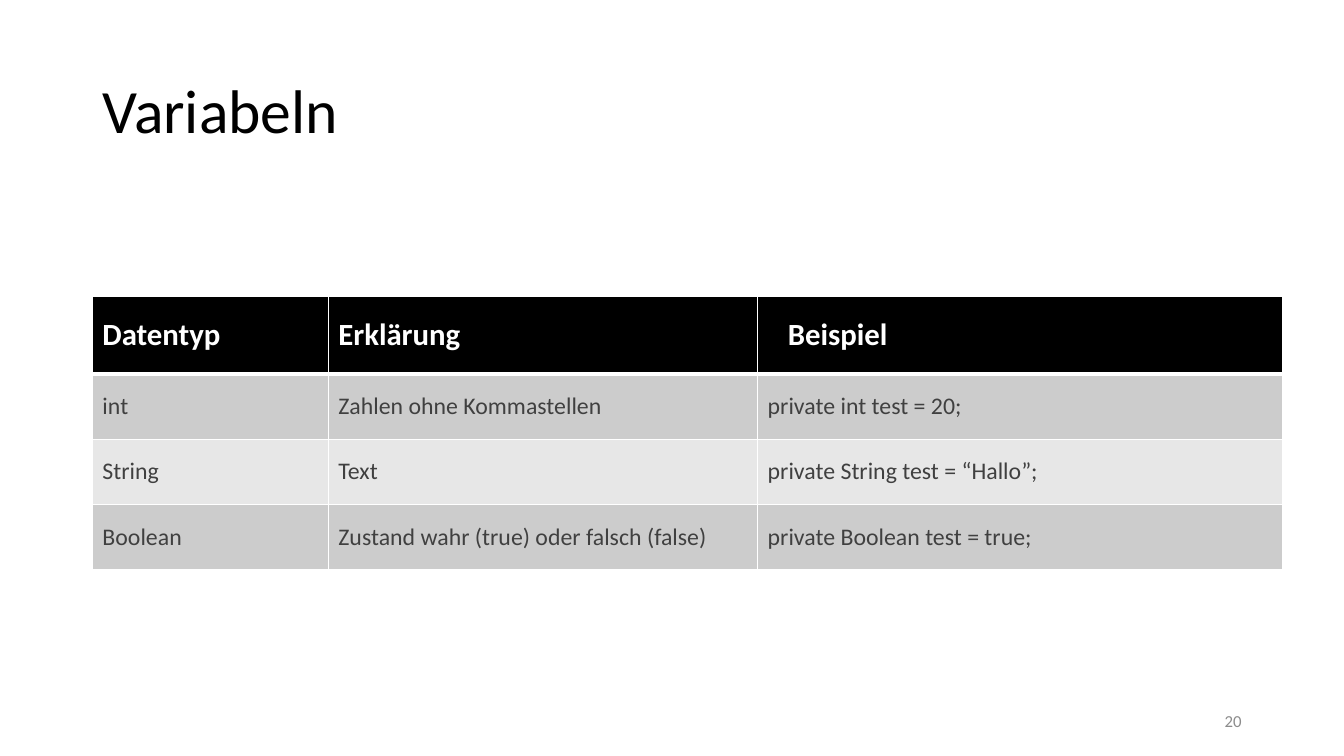
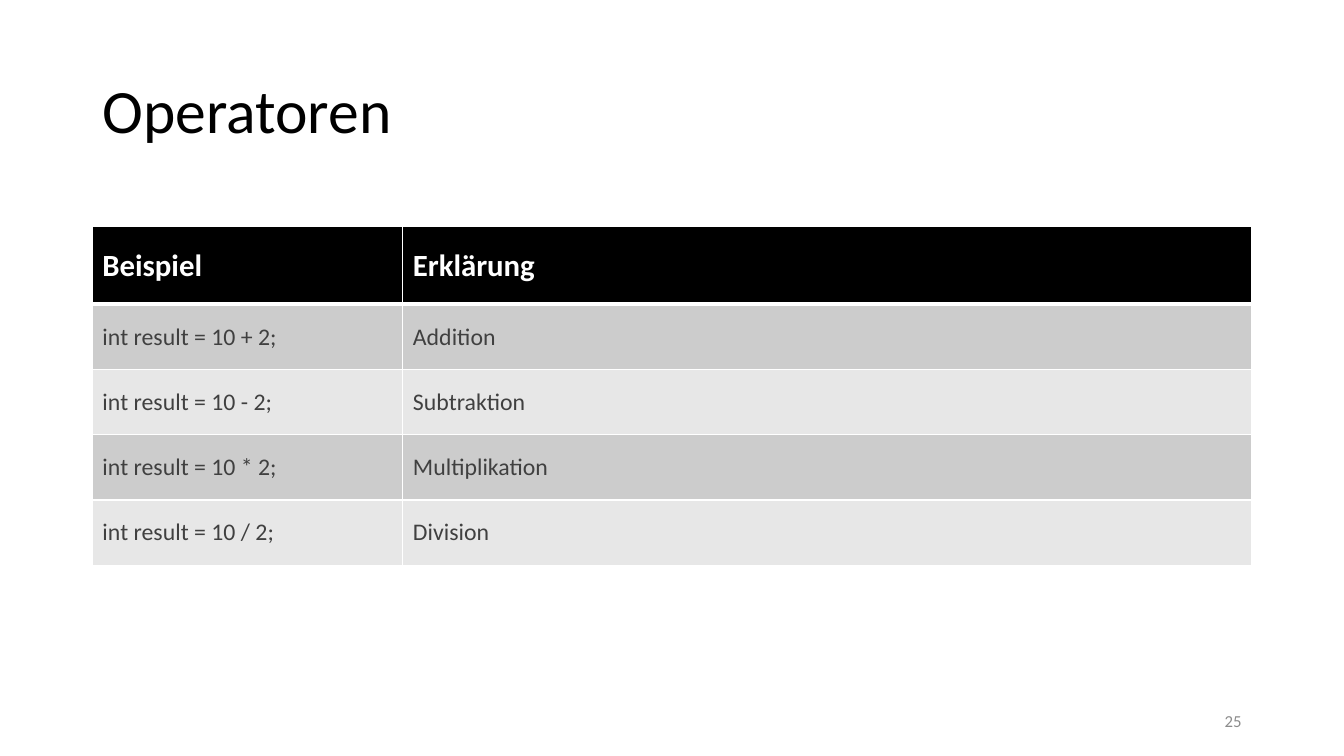
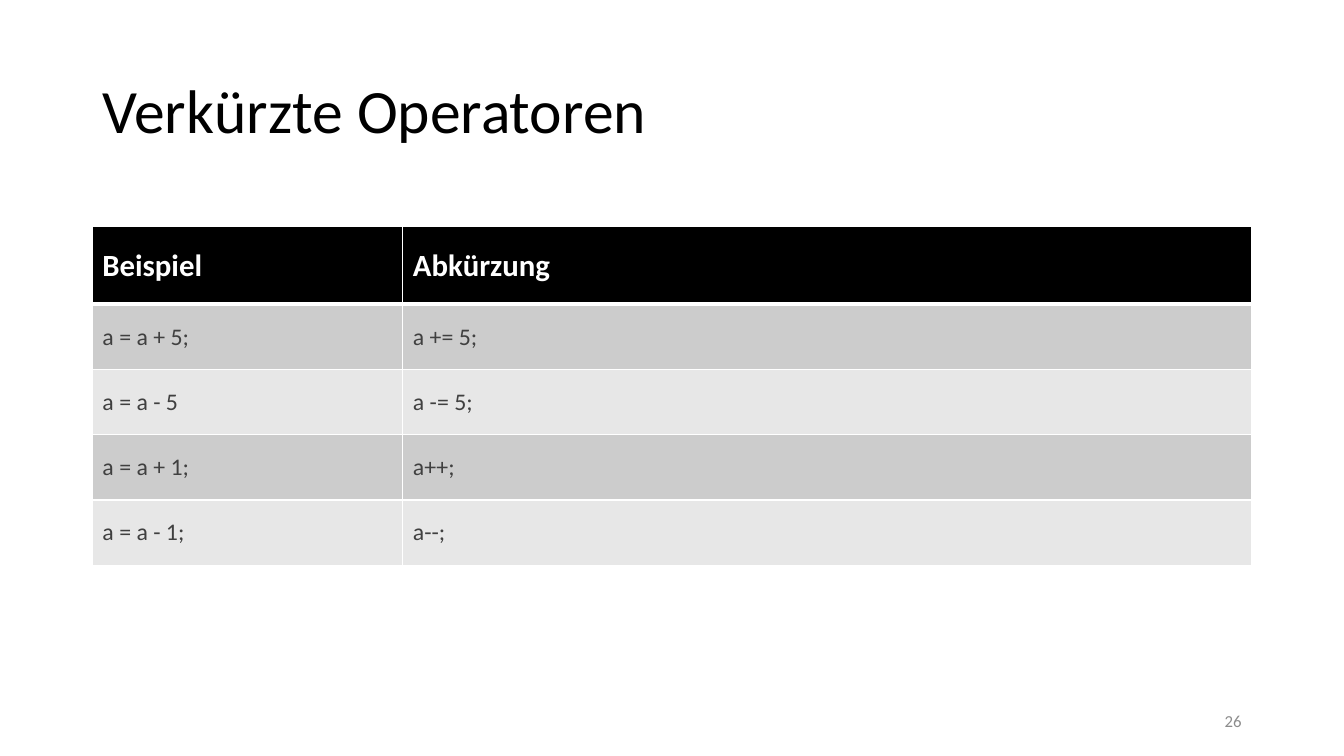
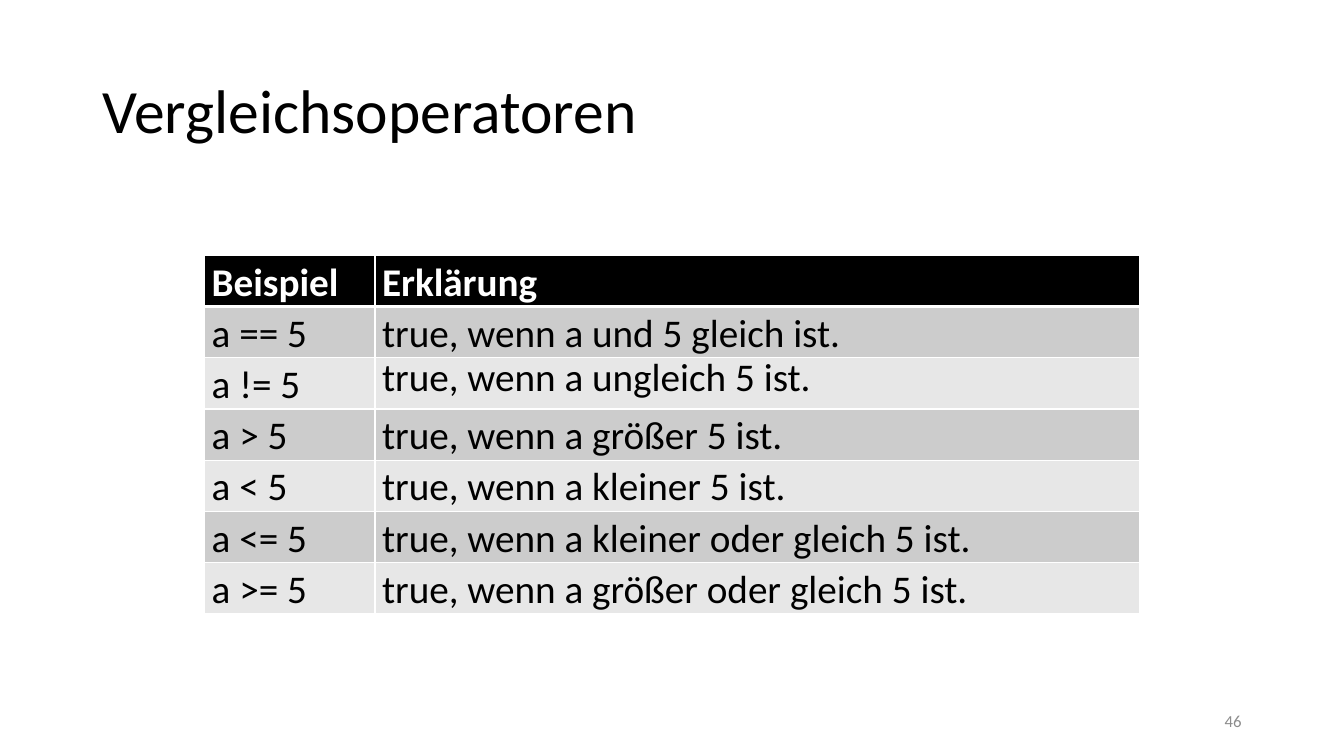
"""Build four slides of tables on data types and operators."""
import pptx
import pptx.dml.color
import pptx.enum.text
import pptx.oxml
import pptx.oxml.ns
import pptx.util

Pt = pptx.util.Pt
ANCHOR = pptx.enum.text.MSO_ANCHOR
ALIGN = pptx.enum.text.PP_ALIGN
FONT = "Calibri"
COLORS = {
    "black": "000000",
    "white": "FFFFFF",
    "dark": "404040",
    "gray": "8C8C8C",
    "odd": "CCCCCC",
    "even": "E7E7E7",
}
TITLE = (66, 28.8, 828, 104.4)
NUMBER = (678, 500.4, 216, 28.8)
ROOMY = {"head": 22, "body": 17, "ink": "dark", "inset": (7.2, 3.6), "line": 1.0}
TIGHT = {"head": 28, "body": 28, "ink": "black", "inset": (5, 0), "line": 1.07}


def rgb(name):
    return pptx.dml.color.RGBColor.from_string(COLORS[name])


def style(par, size, color, bold=False):
    for run in par.runs:
        run.font.name = FONT
        run.font.size = Pt(size)
        run.font.bold = bold
        run.font.color.rgb = rgb(color)


def place(shape, box):
    shape.left, shape.top, shape.width, shape.height = map(Pt, box)


def add_title(slide, text):
    shape = slide.shapes.title
    place(shape, TITLE)
    frame = shape.text_frame
    frame.text = text
    frame.vertical_anchor = ANCHOR.MIDDLE
    par = frame.paragraphs[0]
    par.alignment = ALIGN.LEFT
    par.line_spacing = 0.9
    style(par, 44, "black")


def add_number(slide, number):
    frame = slide.shapes.add_textbox(*map(Pt, NUMBER)).text_frame
    frame.word_wrap = True
    frame.vertical_anchor = ANCHOR.MIDDLE
    frame.text = str(number)
    par = frame.paragraphs[0]
    par.alignment = ALIGN.RIGHT
    style(par, 12, "gray")


def add_border(cell, row):
    widths = {"L": 1, "R": 1, "T": 3 if row == 1 else 1, "B": 3 if row == 0 else 1}
    props = cell._tc.get_or_add_tcPr()
    for side, width in widths.items():
        props.append(pptx.oxml.parse_xml(
            f'<a:ln{side} {pptx.oxml.ns.nsdecls("a")} w="{Pt(width)}">'
            f'<a:solidFill><a:srgbClr val="{COLORS["white"]}"/></a:solidFill>'
            f'</a:ln{side}>'))


def fill_cell(cell, row, text, look):
    head = row == 0
    add_border(cell, row)
    cell.fill.solid()
    cell.fill.fore_color.rgb = rgb("black" if head else "odd" if row % 2 else "even")
    cell.vertical_anchor = ANCHOR.MIDDLE
    side, edge = map(Pt, look["inset"])
    cell.margin_left = cell.margin_right = side
    cell.margin_top = cell.margin_bottom = edge
    cell.text_frame.text = text
    par = cell.text_frame.paragraphs[0]
    par.line_spacing = look["line"]
    style(par, look["head" if head else "body"], "white" if head else look["ink"], head)


def add_table(slide, spot, widths, heights, rows, look):
    left, top = spot
    box = (left, top, sum(widths), sum(heights))
    table = slide.shapes.add_table(len(rows), len(widths), *map(Pt, box)).table
    for column, width in zip(table.columns, widths):
        column.width = Pt(width)
    for line, height in zip(table.rows, heights):
        line.height = Pt(height)
    for row, texts in enumerate(rows):
        for col, text in enumerate(texts):
            fill_cell(table.cell(row, col), row, text, look)
    return table


def add_slide(deck, title, number):
    slide = deck.slides.add_slide(deck.slide_layouts[5])
    add_title(slide, title)
    add_number(slide, number)
    return slide


def add_types(deck):
    slide = add_slide(deck, "Variabeln", 20)
    rows = [
        ("Datentyp", "Erklärung", "Beispiel"),
        ("int", "Zahlen ohne Kommastellen", "private int test = 20;"),
        ("String", "Text", "private String test = “Hallo”;"),
        ("Boolean", "Zustand wahr (true) oder falsch (false)",
         "private Boolean test = true;"),
    ]
    table = add_table(slide, (66, 211.7), (168.5, 306.7, 375.1),
                      [55.4] + [46.6] * 3, rows, ROOMY)
    table.cell(0, 2).margin_left = Pt(21.6)


def add_pairs(deck, title, number, rows):
    slide = add_slide(deck, title, number)
    add_table(slide, (66, 162), (221.8, 606.2), [55.4] + [46.6] * 4, rows, ROOMY)


def add_tests(deck):
    slide = add_slide(deck, "Vergleichsoperatoren", 46)
    rows = [
        ("Beispiel", "Erklärung"),
        ("a == 5", "true, wenn a und 5 gleich ist."),
        ("a != 5", "true, wenn a ungleich 5 ist."),
        ("a > 5", "true, wenn a größer 5 ist."),
        ("a < 5", "true, wenn a kleiner 5 ist."),
        ("a <= 5", "true, wenn a kleiner oder gleich 5 ist."),
        ("a >= 5", "true, wenn a größer oder gleich 5 ist."),
    ]
    table = add_table(slide, (146.2, 182.4), (121.7, 545.8), [36.6] * 7, rows, TIGHT)
    raised = table.cell(2, 1)
    raised.margin_top = Pt(13)
    raised.text_frame.paragraphs[0].line_spacing = Pt(13)


def main():
    deck = pptx.Presentation()
    deck.slide_width, deck.slide_height = Pt(960), Pt(540)
    add_types(deck)
    add_pairs(deck, "Operatoren", 25, [
        ("Beispiel", "Erklärung"),
        ("int result = 10 + 2;", "Addition"),
        ("int result = 10 - 2;", "Subtraktion"),
        ("int result = 10 * 2;", "Multiplikation"),
        ("int result = 10 / 2;", "Division"),
    ])
    add_pairs(deck, "Verkürzte Operatoren", 26, [
        ("Beispiel", "Abkürzung"),
        ("a = a + 5;", "a += 5;"),
        ("a = a - 5", "a -= 5;"),
        ("a = a + 1;", "a++;"),
        ("a = a - 1;", "a--;"),
    ])
    add_tests(deck)
    deck.save("out.pptx")


if __name__ == "__main__":
    main()
